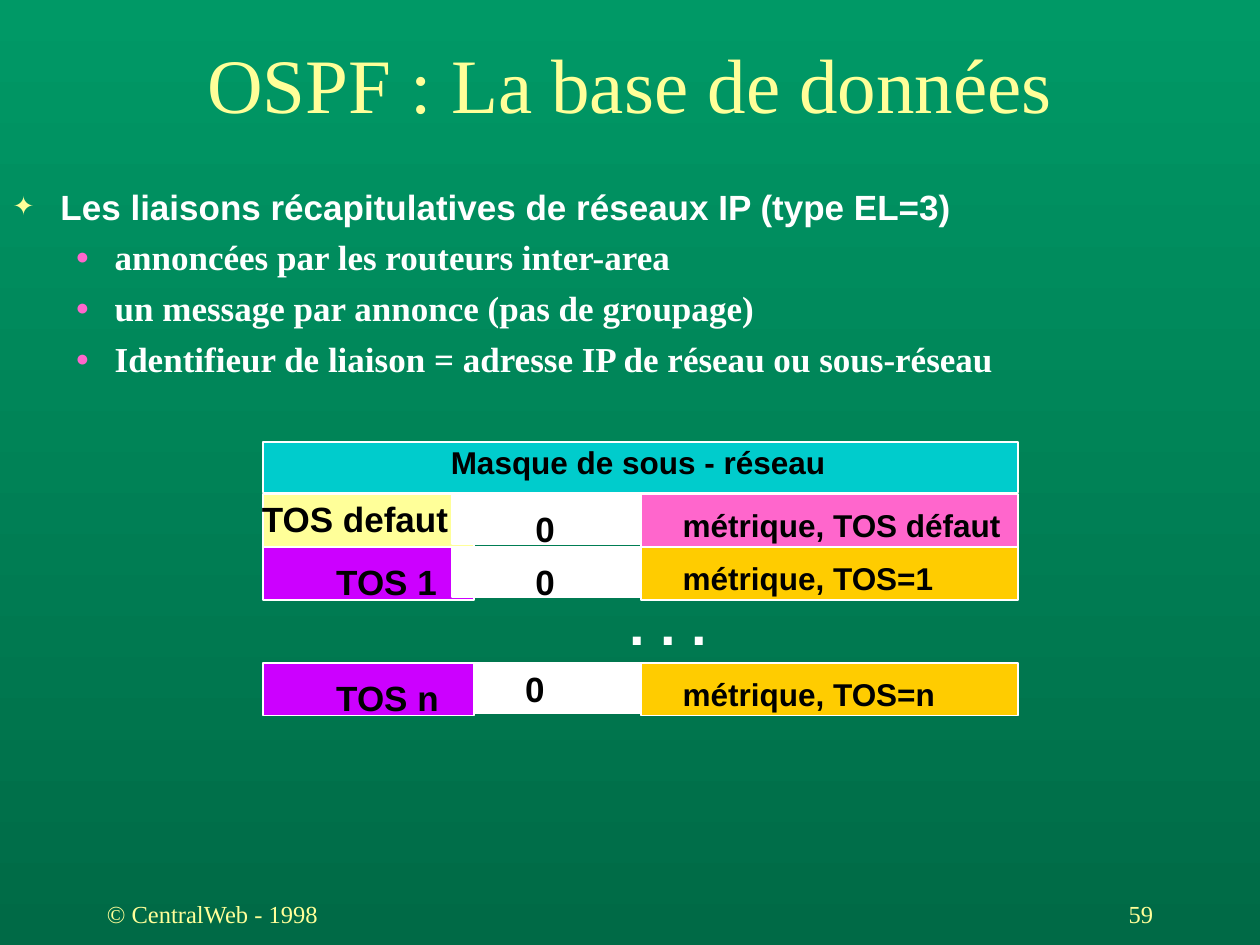
from lxml.etree import SubElement
from pptx import Presentation
from pptx.dml.color import RGBColor
from pptx.enum.shapes import MSO_SHAPE
from pptx.enum.text import MSO_ANCHOR, PP_ALIGN
from pptx.oxml.ns import qn
from pptx.util import Inches, Pt

COLORS = {
    "top": "009966", "bottom": "006A46", "cream": "FFFF99", "white": "FFFFFF",
    "black": "000000", "pink": "FF66CC", "purple": "CC00FF", "gold": "FFCC00",
    "cyan": "00CCCC",
}
SANS, SERIF = "Arial", "Times New Roman"

TITLE = "OSPF : La base de données"
BULLETS = [
    (0, "Les liaisons récapitulatives de réseaux IP (type EL=3)"),
    (1, "annoncées par les routeurs inter-area"),
    (1, "un message par annonce (pas de groupage)"),
    (1, "Identifieur de liaison = adresse IP de réseau ou sous-réseau"),
]
LEVELS = [
    dict(char="✦", color="cream", size=75, left=0.38, hang=0.38, font=SANS),
    dict(char="●", color="pink", size=65, left=0.81, hang=0.31, font=SERIF),
]
HEADER = "Masque de sous - réseau"
ROWS = [
    dict(top=3.92, tos="TOS defaut", tos_at=(1.98, -0.02, 1.93), tos_fill="cream",
         zero_left=3.59, zero_at=(4.15, 0.06), metric="métrique, TOS défaut",
         metric_fill="pink"),
    dict(top=4.34, tos="TOS 1", tos_at=(2.57, 0.06, 1.18), tos_fill="purple",
         zero_left=3.59, zero_at=(4.15, 0.06), metric="métrique, TOS=1",
         metric_fill="gold"),
    dict(top=5.26, tos="TOS n", tos_at=(2.57, 0.06, 1.18), tos_fill="purple",
         zero_left=3.76, zero_at=(4.07, -0.01), metric="métrique, TOS=n",
         metric_fill="gold"),
]
FOOTERS = [
    (7.17, "59", PP_ALIGN.RIGHT),
    (0.75, "© CentralWeb - 1998", PP_ALIGN.LEFT),
]


def rgb(name):
    return RGBColor.from_string(COLORS[name])


def place(sp, left, top, width, height):
    sp.left, sp.top = Inches(left), Inches(top)
    sp.width, sp.height = Inches(width), Inches(height)


def add_run(p, text, size, font, color, bold=False):
    r = p.add_run()
    r.text = text
    r.font.size, r.font.name, r.font.bold = Pt(size), font, bold
    r.font.color.rgb = rgb(color)


def add_box(s, left, top, width, height, fill):
    sp = s.shapes.add_shape(MSO_SHAPE.RECTANGLE, Inches(left), Inches(top),
                            Inches(width), Inches(height))
    sp.shadow.inherit = False
    sp.fill.solid()
    sp.fill.fore_color.rgb = rgb(fill)
    sp.line.color.rgb = rgb("white")
    sp.line.width = Pt(1)


def add_text(s, left, top, width, height, text, size, font=SANS, color="black",
             bold=True, align=PP_ALIGN.LEFT, anchor=MSO_ANCHOR.TOP, wrap=True):
    tf = s.shapes.add_textbox(Inches(left), Inches(top), Inches(width),
                              Inches(height)).text_frame
    tf.word_wrap, tf.vertical_anchor = wrap, anchor
    p = tf.paragraphs[0]
    p.alignment = align
    add_run(p, text, size, font, color, bold)


def set_bullet(p, level):
    pPr = p._p.get_or_add_pPr()
    pPr.set("marL", str(Inches(level["left"])))
    pPr.set("indent", str(-Inches(level["hang"])))
    SubElement(SubElement(pPr, qn("a:buClr")), qn("a:srgbClr"), val=COLORS[level["color"]])
    SubElement(pPr, qn("a:buSzPct"), val=str(level["size"] * 1000))
    SubElement(pPr, qn("a:buChar"), char=level["char"])


def add_bullets(tf):
    tf.vertical_anchor = MSO_ANCHOR.TOP
    for i, (lvl, text) in enumerate(BULLETS):
        p = tf.add_paragraph() if i else tf.paragraphs[0]
        p.level = lvl
        p.space_before = Pt(5 if i else 0)
        set_bullet(p, LEVELS[lvl])
        add_run(p, text, 20, LEVELS[lvl]["font"], "white", True)


def add_row(s, row):
    top = row["top"]
    add_box(s, 2.09, top, 1.67, 0.42, row["tos_fill"])
    add_box(s, row["zero_left"], top, 1.67, 0.4, "white")
    add_box(s, 5.09, top, 2.99, 0.42, row["metric_fill"])
    left, dy, width = row["tos_at"]
    add_text(s, left, top + dy, width, 0.43, row["tos"], 20)
    add_text(s, 5.32, top + 0.05, 2.79, 0.4, row["metric"], 18)
    left, dy = row["zero_at"]
    add_text(s, left, top + dy, 1.43, 0.43, "0", 20)


def main():
    prs = Presentation()
    prs.slide_width, prs.slide_height = Inches(10), Inches(7.5)
    s = prs.slides.add_slide(prs.slide_layouts[1])

    fill = s.background.fill
    fill.gradient()
    fill.gradient_angle = 270
    for stop, name in zip(fill.gradient_stops, ("top", "bottom")):
        stop.color.rgb = rgb(name)

    title, body = s.placeholders
    place(title, 0, 0.31, 10, 0.69)
    title.text_frame.vertical_anchor = MSO_ANCHOR.MIDDLE
    p = title.text_frame.paragraphs[0]
    p.alignment = PP_ALIGN.CENTER
    add_run(p, TITLE, 44, SERIF, "cream")
    place(body, 0, 1.42, 9.92, 5.58)
    add_bullets(body.text_frame)

    for row in ROWS:
        add_row(s, row)
    add_text(s, 4.9, 4.63, 0.91, 0.63, ". . .", 32, color="white", wrap=False)
    add_box(s, 2.09, 3.51, 5.99, 0.4, "cyan")
    add_text(s, 3.48, 3.47, 3.93, 0.4, HEADER, 18)

    for left, text, align in FOOTERS:
        add_text(s, left, 7, 2.08, 0.5, text, 14, SERIF, "cream", False, align,
                 MSO_ANCHOR.MIDDLE)
    prs.save("out.pptx")


if __name__ == "__main__":
    main()
